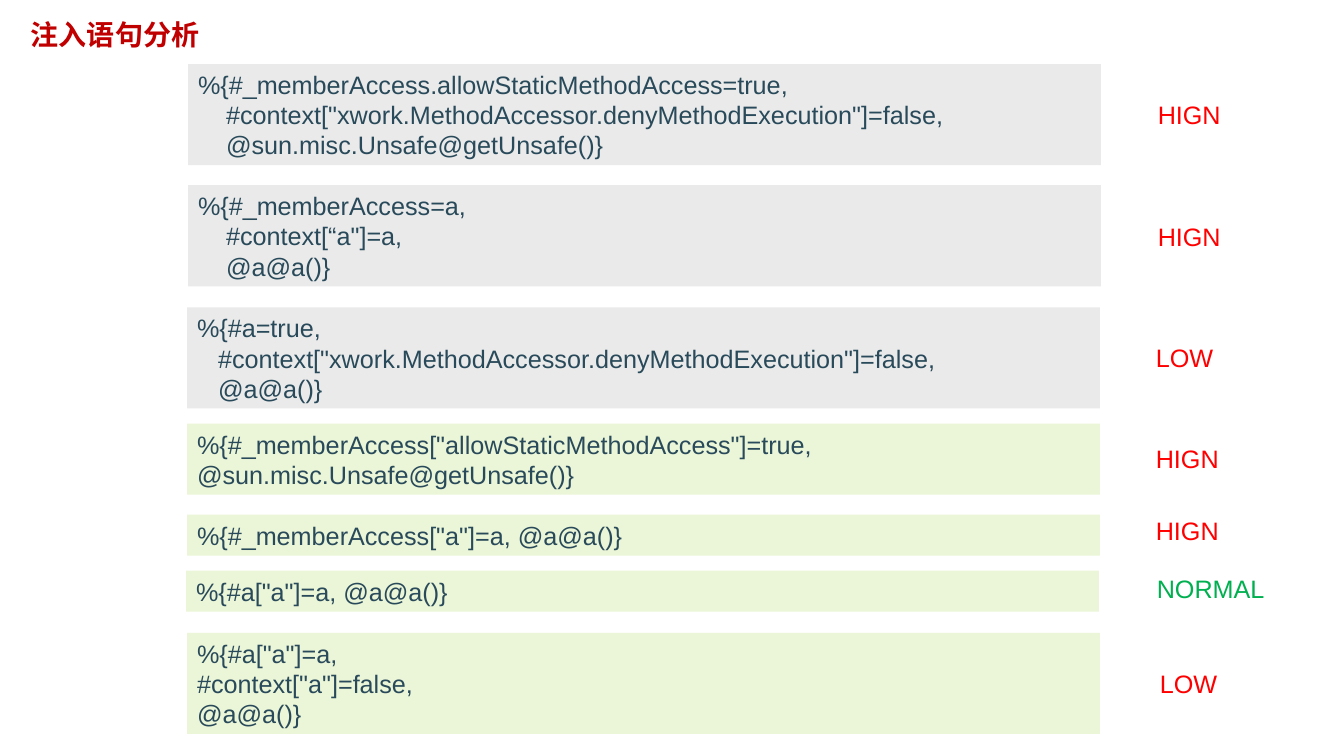
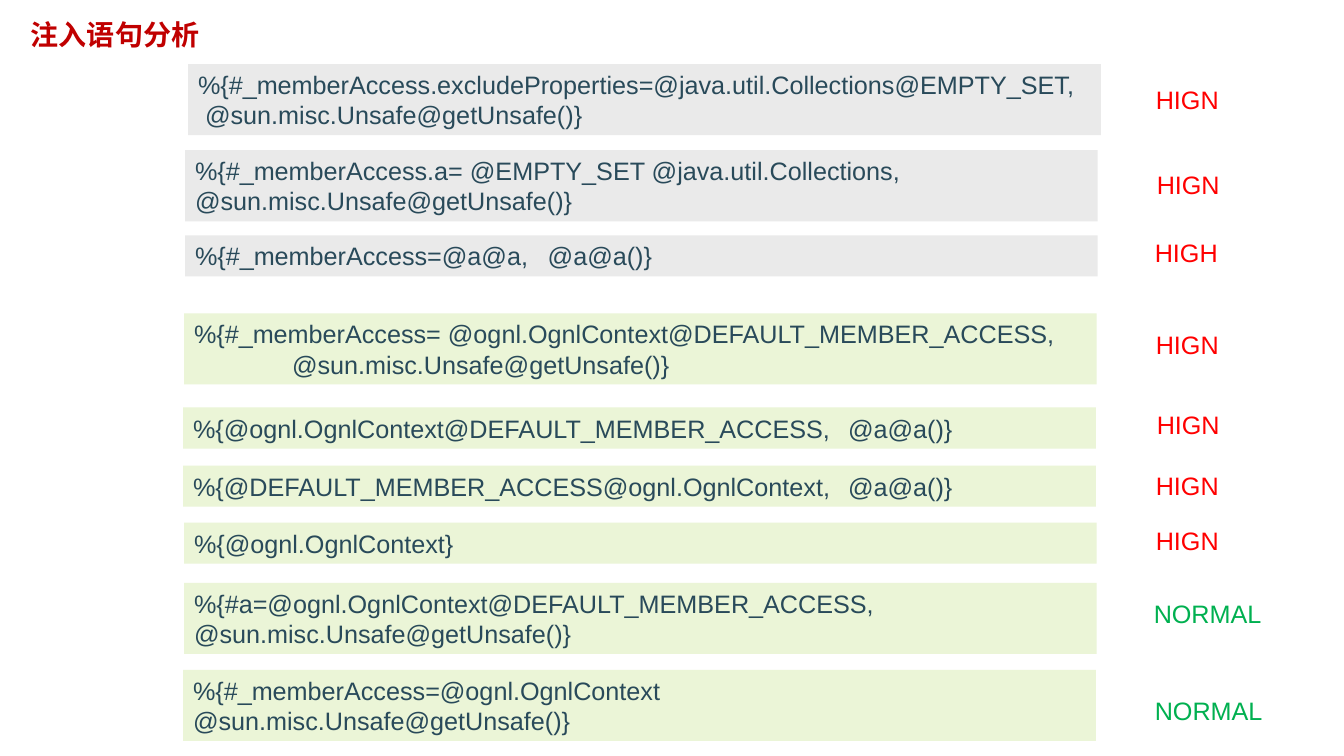
"""Build two slides that rate injection statements by risk."""
import pptx
import pptx.dml.color
import pptx.enum.shapes
import pptx.enum.text
import pptx.util
import lxml.etree

EMU_PER_PX = 914400 / 100.7
TITLE = "注入语句分析"
TITLE_RED, CODE_INK = "C00000", "294A5A"
GREY, GREEN = "EAEAEA", "EBF5D7"
RATING_INK = {"HIGN": "FF0000", "HIGH": "FF0000", "LOW": "FF0000", "NORMAL": "00B050"}
BOX_W, LINE_H, BOX_PAD = 912, 30, 11
LABEL_W, LABEL_H = 143, 40

# Each row: box x, box y, line count, fill, code, indent, tab stop, label x, label y, rating
SLIDES = [
    [
        (188, 64, 3, GREY, '%{#_memberAccess.allowStaticMethodAccess=true,\n'
         '#context["xwork.MethodAccessor.denyMethodExecution"]=false,\n'
         '@sun.misc.Unsafe@getUnsafe()}', 28, 0, 1147, 94, "HIGN"),
        (188, 185, 3, GREY, '%{#_memberAccess=a,\n#context[“a"]=a,\n@a@a()}',
         28, 0, 1147, 216, "HIGN"),
        (187, 307, 3, GREY, '%{#a=true,\n'
         '#context["xwork.MethodAccessor.denyMethodExecution"]=false,\n@a@a()}',
         21, 0, 1145, 337, "LOW"),
        (187, 423, 2, GREEN, '%{#_memberAccess["allowStaticMethodAccess"]=true,\n'
         '@sun.misc.Unsafe@getUnsafe()}', 0, 0, 1145, 438, "HIGN"),
        (187, 514, 1, GREEN, '%{#_memberAccess["a"]=a, @a@a()}', 0, 0, 1145, 510, "HIGN"),
        (186, 570, 1, GREEN, '%{#a["a"]=a, @a@a()}', 0, 0, 1146, 568, "NORMAL"),
        (187, 632, 3, GREEN, '%{#a["a"]=a,\n#context["a"]=false,\n@a@a()}',
         0, 0, 1149, 662, "LOW"),
    ],
    [
        (188, 64, 2, GREY, "%{#_memberAccess.excludeProperties=@java.util.Collections@EMPTY_SET, "
         "@sun.misc.Unsafe@getUnsafe()}", 7, 0, 1145, 79, "HIGN"),
        (185, 150, 2, GREY, "%{#_memberAccess.a= @EMPTY_SET @java.util.Collections, "
         "@sun.misc.Unsafe@getUnsafe()}", 0, 0, 1146, 164, "HIGN"),
        (185, 235, 1, GREY, "%{#_memberAccess=@a@a,\t@a@a()}", 0, 361, 1144, 232, "HIGH"),
        (184, 313, 2, GREEN, "%{#_memberAccess= @ognl.OgnlContext@DEFAULT_MEMBER_ACCESS, "
         "@sun.misc.Unsafe@getUnsafe()}", 98, 0, 1145, 324, "HIGN"),
        (183, 407, 1, GREEN, "%{@ognl.OgnlContext@DEFAULT_MEMBER_ACCESS,\t@a@a()}",
         0, 672, 1146, 404, "HIGN"),
        (183, 465, 1, GREEN, "%{@DEFAULT_MEMBER_ACCESS@ognl.OgnlContext,\t@a@a()}",
         0, 672, 1145, 465, "HIGN"),
        (184, 522, 1, GREEN, "%{@ognl.OgnlContext}", 0, 0, 1145, 520, "HIGN"),
        (184, 582, 2, GREEN, "%{#a=@ognl.OgnlContext@DEFAULT_MEMBER_ACCESS, "
         "@sun.misc.Unsafe@getUnsafe()}", 0, 0, 1143, 593, "NORMAL"),
        (183, 669, 2, GREEN, "%{#_memberAccess=@ognl.OgnlContext\n"
         "@sun.misc.Unsafe@getUnsafe()}", 0, 0, 1144, 689, "NORMAL"),
    ],
]


def px(n):
    return pptx.util.Emu(round(n * EMU_PER_PX))


def add_text(s, x, y, w, h, text, ink, fill=None, font="Arial", size=18, bold=False):
    box = [px(n) for n in (x, y, w, h)]
    if fill:
        sp = s.shapes.add_shape(pptx.enum.shapes.MSO_SHAPE.RECTANGLE, *box)
        sp.shadow.inherit = False
        sp.fill.solid()
        sp.fill.fore_color.rgb = pptx.dml.color.RGBColor.from_string(fill)
        sp.line.fill.background()
    else:
        sp = s.shapes.add_textbox(*box)
    tf = sp.text_frame
    tf.word_wrap = True
    tf.auto_size = pptx.enum.text.MSO_AUTO_SIZE.SHAPE_TO_FIT_TEXT
    tf.text = text
    for p in tf.paragraphs:
        p.alignment = pptx.enum.text.PP_ALIGN.LEFT
        for r in p.runs:
            r.font.name = font
            r.font.size = pptx.util.Pt(size)
            r.font.bold = bold
            r.font.color.rgb = pptx.dml.color.RGBColor.from_string(ink)
    return tf


prs = pptx.Presentation()
prs.slide_width, prs.slide_height = px(1343), px(755)

for rows in SLIDES:
    s = prs.slides.add_slide(prs.slide_layouts[6])
    add_text(s, 21, 13, 262, 44, TITLE, TITLE_RED, font="Times New Roman", size=20, bold=True)
    for x, y, lines, fill, code, indent, tab, label_x, label_y, rating in rows:
        tf = add_text(s, x, y, BOX_W, BOX_PAD + LINE_H * lines, code, CODE_INK, fill)
        for i, p in enumerate(tf.paragraphs):
            pPr = p._p.get_or_add_pPr()
            pPr.set("marL", str(px(indent)))
            pPr.set("indent", str(0 if i else -px(indent)))
            if tab:
                tabs = lxml.etree.SubElement(pPr, pptx.oxml.ns.qn("a:tabLst"))
                lxml.etree.SubElement(tabs, pptx.oxml.ns.qn("a:tab"), pos=str(px(tab)), algn="l")
        add_text(s, label_x, label_y, LABEL_W, LABEL_H, rating, RATING_INK[rating])

prs.save("out.pptx")
